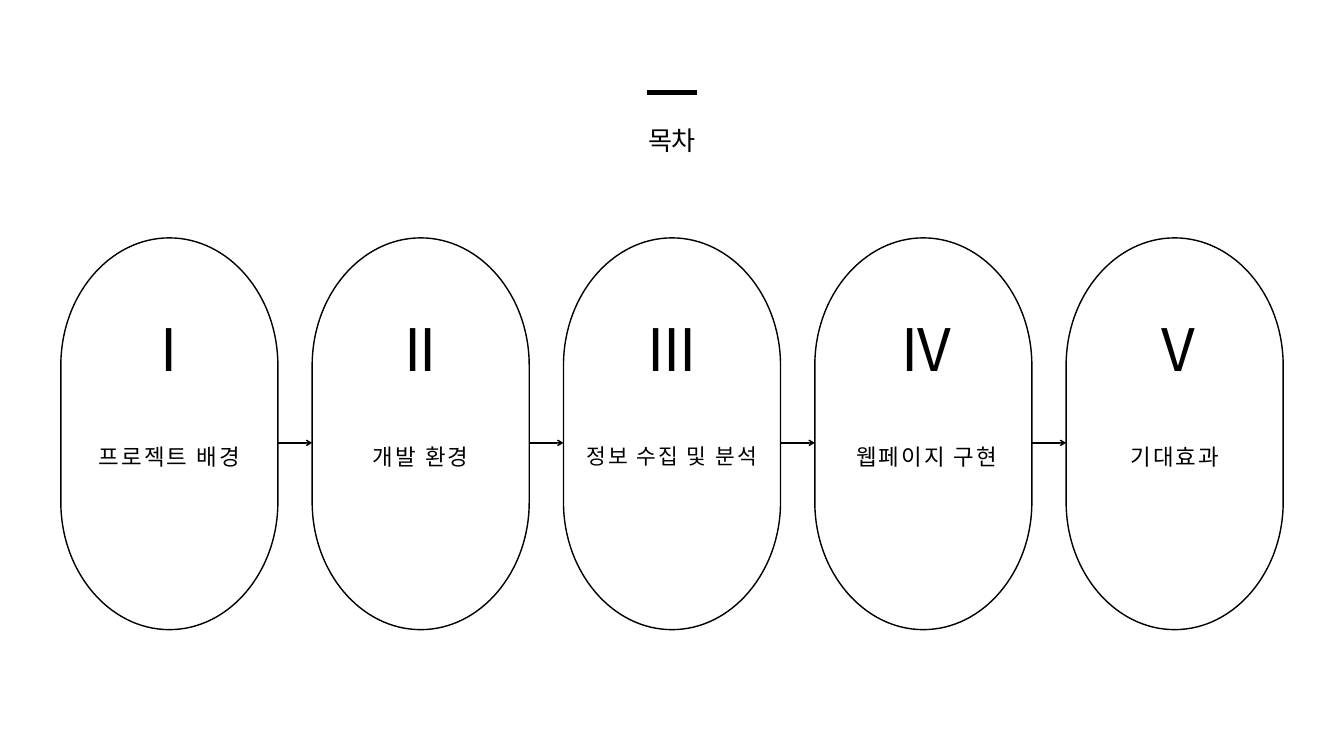
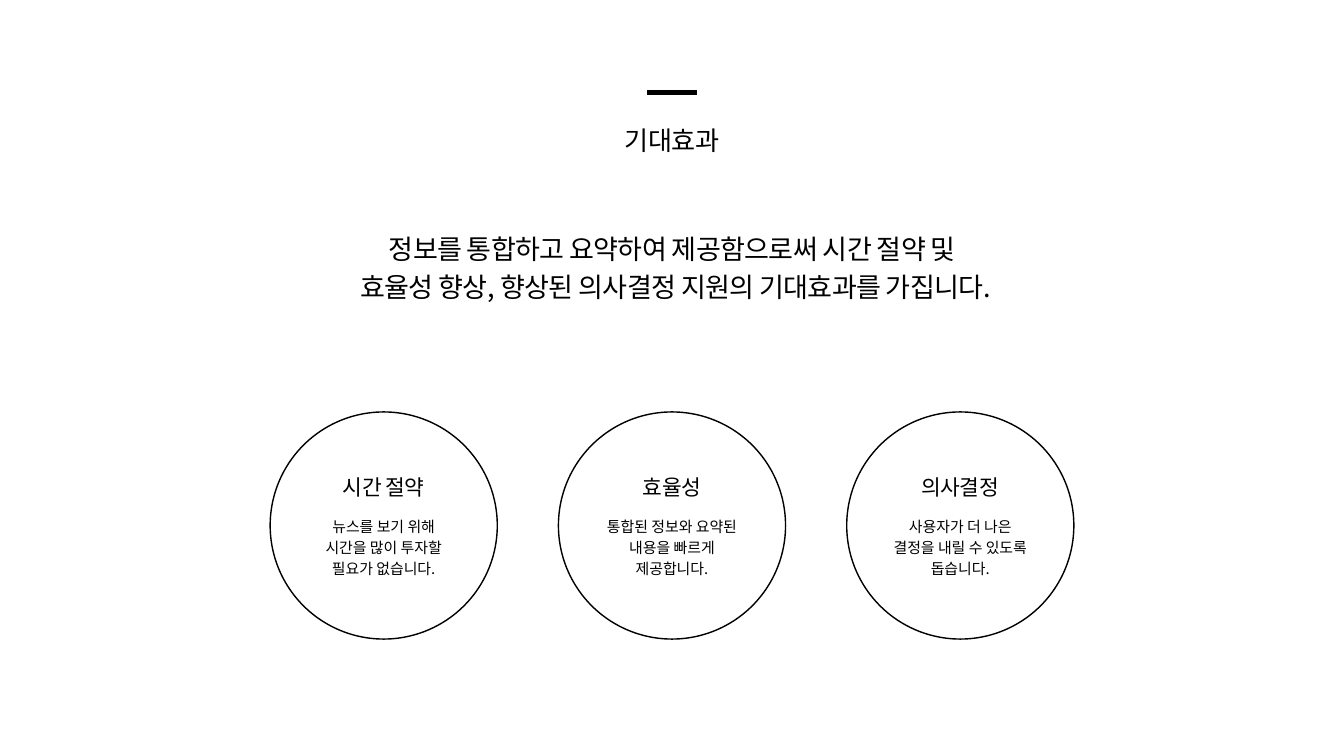
from dataclasses import dataclass

from pptx import Presentation
from pptx.dml.color import RGBColor
from pptx.enum import shapes, text
from pptx.oxml.ns import qn
from pptx.oxml.xmlchemy import OxmlElement
from pptx.util import Inches, Pt

COLORS = {"ink": "000000", "paper": "FFFFFF"}
HEADING, BODY = "Calibri", "Noto Sans CJK SC"
CENTER_X = 10
LEADING = 1.4

CAPSULE_W, CAPSULE_H, CAPSULE_TOP = 3.23, 5.83, 3.54
CAP_H = 1.9
CAPSULE_PITCH = 3.74
ARROW_Y = 6.59
BEZIER_ARC = 0.55

CIRCLE_D, CIRCLE_TOP, CIRCLE_PITCH = 3.38, 6.13, 4.29


@dataclass
class TextStyle:
    font: str
    size: float
    tracking: float = 0


@dataclass
class Chapter:
    numeral: str
    label: str
    label_w: float
    label_top: float = 6.52
    label_size: float = 24
    numeral_shift: float = 0
    label_shift: float = 0


@dataclass
class Benefit:
    title: str
    detail: str
    detail_w: float
    detail_h: float = 1.2


TITLE = TextStyle(HEADING, 28, -0.7)
NUMERAL = TextStyle(BODY, 62.7, -1.6)
LEAD = TextStyle(BODY, 29, -0.7)
BENEFIT_TITLE = TextStyle(HEADING, 23, -0.6)
DETAIL = TextStyle(BODY, 16)

CHAPTERS = [
    Chapter("I", "프로젝트 배경", 2.66),
    Chapter("II", "개발 환경", 2.53),
    Chapter("III", "정보 수집 및 분석", 2.64, label_top=6.53, label_size=23),
    Chapter("IV", "웹페이지 구현", 2.72, numeral_shift=0.05, label_shift=0.05),
    Chapter("V", "기대효과", 2.72, label_top=6.53, numeral_shift=0.05),
]

BENEFITS = [
    Benefit("시간 절약", "뉴스를 보기 위해 시간을 많이 투자할 필요가 없습니다.", 1.9),
    Benefit("효율성", "통합된 정보와 요약된 내용을 빠르게 제공합니다.", 2.11),
    Benefit("의사결정", "사용자가 더 나은 결정을 내릴 수 있도록 돕습니다.", 2.02, 0.89),
]


def color(name: str) -> RGBColor:
    return RGBColor.from_string(COLORS[name])


def centers(count: int, pitch: float) -> list[float]:
    """Equally spaced x positions, symmetric about the slide centre."""
    return [CENTER_X + (i - (count - 1) / 2) * pitch for i in range(count)]


def add_text(s, content: str, cx: float, top: float, width: float,
             height: float, style: TextStyle) -> None:
    sp = s.shapes.add_textbox(Inches(cx - width / 2), Inches(top),
                              Inches(width), Inches(height))
    tf = sp.text_frame
    tf.margin_left = tf.margin_top = tf.margin_right = tf.margin_bottom = 0
    tf.word_wrap = True
    tf.auto_size = text.MSO_AUTO_SIZE.SHAPE_TO_FIT_TEXT
    p = tf.paragraphs[0]
    p.text = content
    p.alignment = text.PP_ALIGN.CENTER
    p.line_spacing = Pt(style.size * LEADING)
    p.font.name = style.font
    p.font.size = Pt(style.size)
    p.font.color.rgb = color("ink")
    if style.tracking:
        p._p.pPr.find(qn("a:defRPr")).set("spc", str(round(style.tracking * 100)))


def add_line(s, x1: float, x2: float, y: float, weight: float,
             arrow: bool = False) -> None:
    ln = s.shapes.add_connector(shapes.MSO_CONNECTOR.STRAIGHT, Inches(x1),
                                Inches(y), Inches(x2), Inches(y))
    ln.line.color.rgb = color("ink")
    ln.line.width = Pt(weight)
    if arrow:
        tail = OxmlElement("a:tailEnd")
        tail.set("type", "arrow")
        ln.line._get_or_add_ln().append(tail)
    ln._element.spPr.append(OxmlElement("a:effectLst"))


def outline(sp) -> None:
    sp.shadow.inherit = False
    sp.fill.solid()
    sp.fill.fore_color.rgb = color("paper")
    sp.line.color.rgb = color("ink")
    sp.line.width = Pt(1.5)


def merge_curves(sp) -> None:
    """Turn each run of three line segments into one Bézier curve.

    The fourth segment of every group of four stays straight.
    """
    segments = list(sp._element.iter(qn("a:lnTo")))
    for i in range(0, len(segments), 7):
        for first in (i, i + 3):
            curve = OxmlElement("a:cubicBezTo")
            segments[first].addprevious(curve)
            for segment in segments[first:first + 3]:
                curve.append(segment[0])
                segment.getparent().remove(segment)


def add_capsule(s, cx: float) -> None:
    """Capsule with half-ellipse ends, laid out flat and turned upright."""
    cy = CAPSULE_TOP + CAPSULE_H / 2
    end, side = CAPSULE_H / 2, CAPSULE_W / 2
    flat = end - CAP_H
    bend, rise = flat + CAP_H * BEZIER_ARC, side * BEZIER_ARC
    right_end = [(bend, -side), (end, -rise), (end, 0),
                 (end, rise), (bend, side), (flat, side)]
    left_end = [(-x, -y) for x, y in right_end]
    offsets = [(flat, -side), *right_end, (-flat, side), *left_end]
    points = [(Inches(cx + x), Inches(cy + y)) for x, y in offsets]
    builder = s.shapes.build_freeform(*points[0])
    builder.add_line_segments(points[1:], close=True)
    sp = builder.convert_to_shape()
    merge_curves(sp)
    sp.rotation = 90
    outline(sp)


def add_titled_slide(prs, title: str):
    s = prs.slides.add_slide(prs.slide_layouts[6])
    s.background.fill.solid()
    s.background.fill.fore_color.rgb = color("paper")
    add_line(s, 9.63, 10.37, 1.38, 5.25)
    add_text(s, title, CENTER_X, 1.78, 10.6, 0.53, TITLE)
    return s


def build_contents(prs) -> None:
    s = add_titled_slide(prs, "목차")
    xs = centers(len(CHAPTERS), CAPSULE_PITCH)
    for cx in xs:
        add_capsule(s, cx)
    for left, right in zip(xs, xs[1:]):
        add_line(s, left + CAPSULE_W / 2, right - CAPSULE_W / 2, ARROW_Y, 1.5, arrow=True)
    for cx, c in zip(xs, CHAPTERS):
        add_text(s, c.numeral, cx + c.numeral_shift, 4.48, 2.26, 1.14, NUMERAL)
        add_text(s, c.label, cx + c.label_shift, c.label_top, c.label_w, 0.45,
                 TextStyle(HEADING, c.label_size, c.label_size * 0.09))


def build_benefits(prs) -> None:
    s = add_titled_slide(prs, "기대효과")
    add_text(s, "정보를 통합하고 요약하여 제공함으로써 시간 절약 및 효율성 향상, "
                "향상된 의사결정 지원의 기대효과를 가집니다.",
             CENTER_X, 3.38, 9.29, 1.11, LEAD)
    for cx, b in zip(centers(len(BENEFITS), CIRCLE_PITCH), BENEFITS):
        outline(s.shapes.add_shape(
            shapes.MSO_SHAPE.OVAL, Inches(cx - CIRCLE_D / 2), Inches(CIRCLE_TOP),
            Inches(CIRCLE_D), Inches(CIRCLE_D)))
        add_text(s, b.title, cx, 6.99, 2.11, 0.43, BENEFIT_TITLE)
        add_text(s, b.detail, cx, 7.66, b.detail_w, b.detail_h, DETAIL)


def main() -> None:
    prs = Presentation()
    prs.slide_width, prs.slide_height = Inches(20), Inches(11.25)
    build_contents(prs)
    build_benefits(prs)
    prs.save("out.pptx")


if __name__ == "__main__":
    main()
